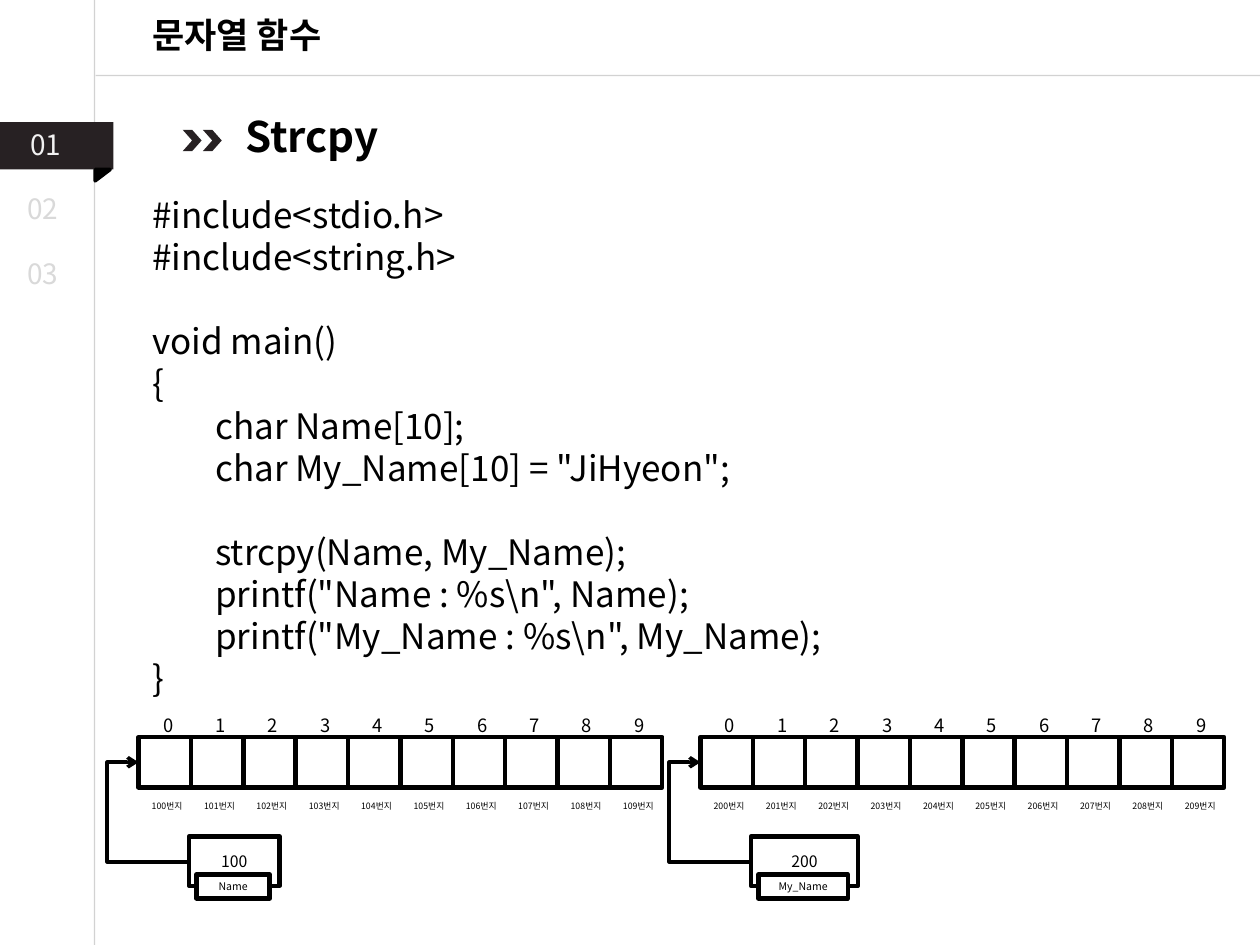
from dataclasses import dataclass

from lxml import etree
from pptx import Presentation
from pptx.dml.color import RGBColor
from pptx.enum.shapes import MSO_CONNECTOR, MSO_SHAPE
from pptx.enum.text import MSO_ANCHOR, MSO_AUTO_SIZE, PP_ALIGN
from pptx.oxml.ns import qn
from pptx.util import Pt

RECT = MSO_SHAPE.RECTANGLE
CHEVRON = MSO_SHAPE.CHEVRON
TRIANGLE = MSO_SHAPE.RIGHT_TRIANGLE
STRAIGHT = MSO_CONNECTOR.STRAIGHT
ELBOW = MSO_CONNECTOR.ELBOW
LEFT = PP_ALIGN.LEFT
CENTER = PP_ALIGN.CENTER
TOP = MSO_ANCHOR.TOP
MIDDLE = MSO_ANCHOR.MIDDLE
FIT_SHAPE = MSO_AUTO_SIZE.SHAPE_TO_FIT_TEXT
NO_FIT = MSO_AUTO_SIZE.NONE

FONT = "Noto Sans CJK KR"
COLORS = {
    "black": "000000",
    "white": "FFFFFF",
    "dark": "272123",
    "rule": "A6A6A6",
    "active": "F2F2F2",
    "inactive": "D9D9D9",
}
WIDTH, HEIGHT = 720, 540
CELL_COUNT = 10
CELL_PITCH = 29.92
CODE_LINE = 24
CODE = """#include<stdio.h>
#include<string.h>

void main()
{
\tchar Name[10];
\tchar My_Name[10] = "JiHyeon";

\tstrcpy(Name, My_Name);
\tprintf("Name : %s\\n", Name);
\tprintf("My_Name : %s\\n", My_Name);
}"""


@dataclass
class Box:
    left: float
    top: float
    width: float
    height: float

    def emu(self) -> tuple:
        return Pt(self.left), Pt(self.top), Pt(self.width), Pt(self.height)


@dataclass
class Style:
    size: float
    color: str = "black"
    bold: bool = False
    align: PP_ALIGN = LEFT


@dataclass
class MemoryArray:
    name: str
    address: int
    left: float
    pointer_width: float
    name_width: float
    label_width: float
    label_wrap: bool


@dataclass
class MenuItem:
    text: str
    left: float
    top: float
    color: str


ARRAYS = [
    MemoryArray("Name", 100, 79.2, 51.8, 41.8, 32.4, True),
    MemoryArray("My_Name", 200, 400.3, 61.2, 51.1, 33.8, False),
]
MENU = [
    MenuItem("01", 10.1, 69.1, "active"),
    MenuItem("02", 8.6, 105.8, "inactive"),
    MenuItem("03", 8.6, 143.3, "inactive"),
]


def rgb(name: str) -> RGBColor:
    return RGBColor.from_string(COLORS[name])


def write(p, text: str, style: Style) -> None:
    p.alignment = style.align
    r = p.add_run()
    r.text = text
    r.font.name = FONT
    r.font.size = Pt(style.size)
    r.font.bold = style.bold
    r.font.color.rgb = rgb(style.color)
    etree.SubElement(r.font._element, qn("a:ea"), typeface=FONT)


def add_text(shapes, box: Box, text: str, style: Style, wrap: bool = True):
    sp = shapes.add_textbox(*box.emu())
    tf = sp.text_frame
    tf.word_wrap = wrap
    tf.auto_size = FIT_SHAPE
    write(tf.paragraphs[0], text, style)


def add_box(shapes, kind, box: Box, fill: str = "", line: float = 0):
    sp = shapes.add_shape(kind, *box.emu())
    sp.shadow.inherit = False
    if fill:
        sp.fill.solid()
        sp.fill.fore_color.rgb = rgb(fill)
    else:
        sp.fill.background()
    if line:
        sp.line.color.rgb = rgb("black")
        sp.line.width = Pt(line)
    else:
        sp.line.fill.background()
    return sp


def add_label_box(shapes, box: Box, text: str, size: float, fill: str = ""):
    tf = add_box(shapes, RECT, box, fill, 2.5).text_frame
    tf.vertical_anchor = MIDDLE
    write(tf.paragraphs[0], text, Style(size, align=CENTER))


def add_line(shapes, kind, start: tuple, end: tuple, color: str, width: float):
    line = shapes.add_connector(kind, *map(Pt, start + end))
    line.line.color.rgb = rgb(color)
    line.line.width = Pt(width)
    etree.SubElement(line._element.spPr, qn("a:effectLst"))
    return line


def add_rule(shapes, start: tuple, end: tuple) -> None:
    line = add_line(shapes, STRAIGHT, start, end, "rule", 0.75)
    color = line.line._ln.find(".//" + qn("a:srgbClr"))
    etree.SubElement(color, qn("a:alpha"), val="50000")


def add_pointer(shapes, start: tuple, end: tuple) -> None:
    line = add_line(shapes, ELBOW, start, end, "black", 2)
    etree.SubElement(line.line._ln, qn("a:tailEnd"), type="arrow")
    guides = line._element.spPr.find(".//" + qn("a:avLst"))
    etree.SubElement(guides, qn("a:gd"), name="adj1", fmla="val 162300")


def add_array(s, array: MemoryArray) -> None:
    shapes = s.shapes.add_group_shape().shapes
    pointer_left = array.left + 28.8
    lefts = [array.left + i * CELL_PITCH for i in range(CELL_COUNT)]
    for left in lefts:
        add_box(shapes, RECT, Box(left, 421.2, 30, 28.8), line=2.5)
    add_label_box(shapes, Box(pointer_left, 478.1, array.pointer_width, 28.1),
                  str(array.address), 9)
    for i, left in enumerate(lefts):
        add_text(shapes, Box(left + 9.6, 404.6, 11.5, 15.1), str(i),
                 Style(10.5), False)
        add_text(shapes, Box(left + 0.4, 454.3, array.label_width, 14),
                 f"{array.address + i}번지", Style(5), array.label_wrap)
    add_label_box(shapes, Box(pointer_left + 4.3, 499.7, array.name_width, 13.7),
                  array.name, 6, "white")
    add_pointer(shapes, (pointer_left, 492.5), (array.left, 435.6))


def add_code(s) -> None:
    tf = s.shapes.add_textbox(*Box(79.9, 107.3, 607, 296).emu()).text_frame
    tf.word_wrap = True
    p = tf.paragraphs[0]
    for i, block in enumerate(CODE.split("\n\n")):
        for j, text in enumerate(block.split("\n")):
            if i or j:
                p = tf.add_paragraph()
                p.space_before = Pt(0 if j else CODE_LINE)
            p.line_spacing = Pt(CODE_LINE)
            write(p, text, Style(20))


def add_title(s, text: str) -> None:
    sp = s.shapes.title
    sp.left, sp.top, sp.width, sp.height = Box(58.3, 4.3, 154.1, 31.7).emu()
    tf = sp.text_frame
    tf.auto_size = NO_FIT
    tf.vertical_anchor = TOP
    write(tf.paragraphs[0], text, Style(20, bold=True, align=CENTER))


def main() -> None:
    prs = Presentation()
    prs.slide_width, prs.slide_height = Pt(WIDTH), Pt(HEIGHT)
    s = prs.slides.add_slide(prs.slide_layouts[5])
    add_title(s, "문자열 함수")
    add_rule(s.shapes, (54, 0), (54, HEIGHT))
    add_rule(s.shapes, (WIDTH, 43.2), (54.7, 43.2))
    add_box(s.shapes, RECT, Box(0, 69.8, 64.8, 27), "dark")
    add_box(s.shapes, TRIANGLE, Box(55.4, 95.8, 6.5, 8.6), "black", 2).rotation = 90
    for item in MENU:
        add_text(s.shapes, Box(item.left, item.top, 42, 26.6), item.text,
                 Style(16, item.color))
    add_code(s)
    add_text(s.shapes, Box(87.8, 59.8, 180.7, 36), "Strcpy",
             Style(24, bold=True, align=CENTER))
    for left in (104.4, 115.9):
        add_box(s.shapes, CHEVRON, Box(left, 74.2, 10.8, 12.2), "dark")
    for array in ARRAYS:
        add_array(s, array)
    prs.save("out.pptx")


if __name__ == "__main__":
    main()
